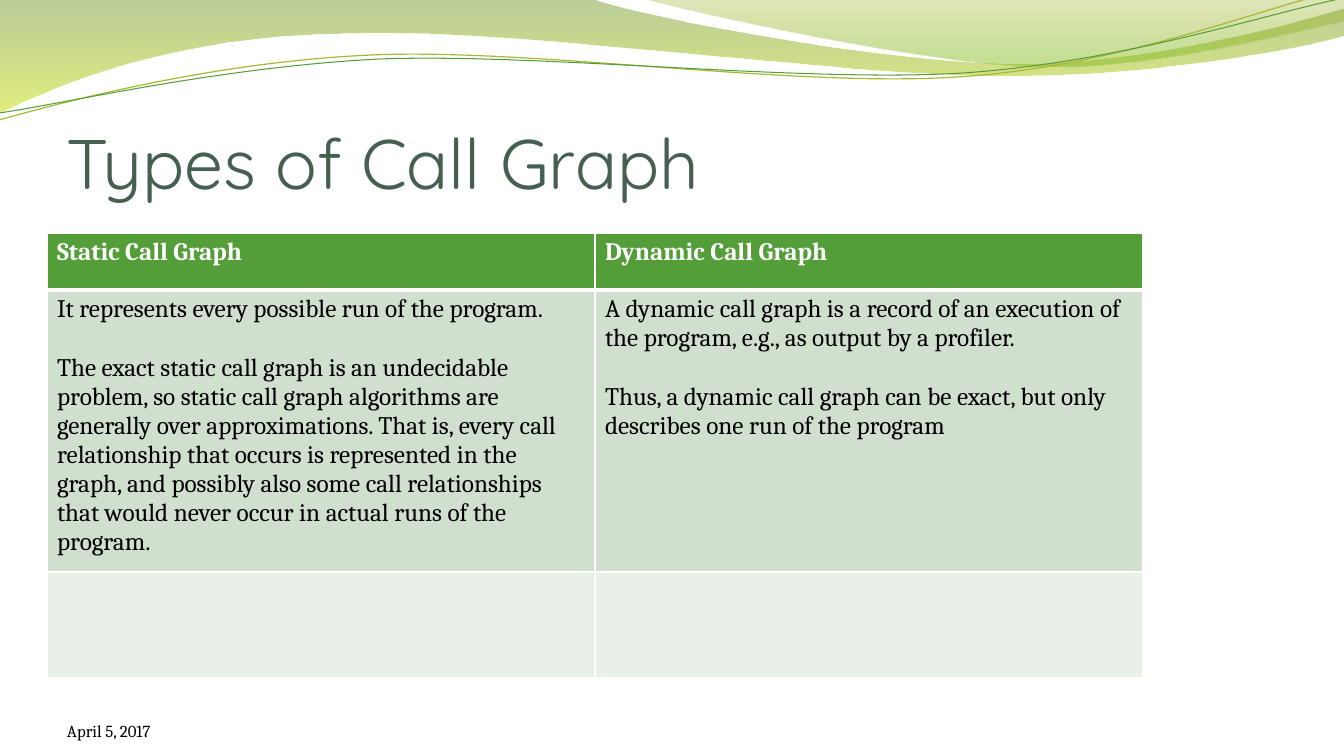
from lxml import etree
from pptx import Presentation
from pptx.dml.color import RGBColor
from pptx.enum.text import MSO_ANCHOR, MSO_AUTO_SIZE, PP_ALIGN
from pptx.oxml.ns import qn
from pptx.util import Pt

LEFT = PP_ALIGN.LEFT
BOTTOM = MSO_ANCHOR.BOTTOM
NO_FIT = MSO_AUTO_SIZE.NONE
EMU_PER_PX = 914400 / 100.8
PAGE_SIZE = (1344, 756)

TITLE = "Types of Call Graph"
TITLE_BOX = (67, 78, 1210, 126)
DATE = "April 5, 2017"
DATE_BOX = (67, 701, 313, 40)
BODY_FONT, TITLE_FONT = "Cambria", "Quicksand"

# Each segment is a line (x, y) or a curve (two control points, then its end).
FILLED_WAVES = [
    {"start": (0, 0),
     "segments": [(592, -1), (639, 17, 891, 64, 1019, 64),
                  (1146, 64, 1287, 26, 1344, 9), (1345, 36),
                  (1322, 44, 1168, 77, 1002, 76), (836, 76, 513, 28, 346, 34),
                  (173, 36, 61, 84, -2, 114)],
     "stops": [(0, "69921C", 45), (100, "CCE10F", 55)]},
    {"start": (643, -1),
     "segments": [(684, 11, 916, 62, 1033, 66), (1148, 70, 1292, 32, 1344, 21),
                  (1344, 0)],
     "stops": [(0, "9BAA1A", 30), (80, "81BA16", 45)]},
]
LINE_WAVES = [
    {"start": (-1, 120),
     "segments": [(64, 102, 212, 62, 372, 55), (531, 48, 795, 88, 957, 77),
                  (1119, 67, 1261, 8, 1341, -10)],
     "color": "A9B733", "width": 0.85},
    {"start": (-1, 113),
     "segments": [(63, 104, 220, 67, 380, 59), (541, 53, 802, 83, 963, 73),
                  (1124, 62, 1265, 14, 1344, -2)],
     "color": "549E39", "width": 0.75},
]

TABLE_ORIGIN = (47, 233)
COLUMN_WIDTH = 548
ROWS = [
    {"height": 57, "fill": "549E39", "color": "FFFFFF", "bold": True,
     "cells": [["Static Call Graph"], ["Dynamic Call Graph"]]},
    {"height": 282, "fill": "D1DFCE", "color": "000000", "bold": False,
     "cells": [
         ["It represents every possible run of the program.",
          "The exact static call graph is an undecidable problem, so static "
          "call graph algorithms are generally over approximations. That is, "
          "every call relationship that occurs is represented in the graph, "
          "and possibly also some call relationships that would never occur "
          "in actual runs of the program."],
         ["A dynamic call graph is a record of an execution of the program, "
          "e.g., as output by a profiler.",
          "Thus, a dynamic call graph can be exact, but only describes one "
          "run of the program"]]},
    {"height": 106, "fill": "E9F0E8", "color": "000000", "bold": False,
     "cells": [[], []]},
]
PARAGRAPH_GAP = 21


def px(length):
    return round(length * EMU_PER_PX)


def rgb(color):
    return RGBColor.from_string(color)


def set_font(para, name, size, color, bold=False):
    font = para.font
    font.name, font.size, font.bold = name, Pt(size), bold
    font.color.rgb = rgb(color)


def place(shape, box):
    shape.left, shape.top, shape.width, shape.height = map(px, box)


def fill_frame(shape, text, top_margin, font, size, color):
    frame = shape.text_frame
    frame.word_wrap = True
    frame.auto_size = NO_FIT
    frame.vertical_anchor = BOTTOM
    frame.margin_left = frame.margin_right = frame.margin_bottom = 0
    frame.margin_top = px(top_margin)
    frame.text = text
    para = frame.paragraphs[0]
    para.alignment = LEFT
    set_font(para, font, size, color)


def add_wave(page, start, segments, closed):
    """Draw the outline, joining the points of each curve into a Bézier."""
    points = [pair for segment in segments
              for pair in zip(segment[::2], segment[1::2])]
    builder = page.shapes.build_freeform(*start, scale=EMU_PER_PX)
    builder.add_line_segments(points, close=closed)
    shape = builder.convert_to_shape()
    shape.shadow.inherit = False
    lines = iter(list(shape._element.iter(qn("a:lnTo"))))
    for segment in segments:
        steps = [next(lines) for _ in segment[::2]]
        if len(steps) == 3:
            curve = etree.Element(qn("a:cubicBezTo"))
            steps[0].addprevious(curve)
            for step in steps:
                curve.append(step[0])
                step.getparent().remove(step)
    return shape


def add_filled_wave(page, start, segments, stops):
    shape = add_wave(page, start, segments, True)
    shape.line.fill.background()
    shape.fill.gradient()
    shape.fill.gradient_angle = 270
    for stop, (position, color, opacity) in zip(shape.fill.gradient_stops, stops):
        stop.position = position / 100
        stop.color.rgb = rgb(color)
    for tag, (_, _, opacity) in zip(shape._element.spPr.iter(qn("a:srgbClr")), stops):
        etree.SubElement(tag, qn("a:alpha"), val=str(opacity * 1000))


def add_line_wave(page, start, segments, color, width):
    shape = add_wave(page, start, segments, False)
    shape.fill.background()
    shape.line.color.rgb = rgb(color)
    shape.line.width = Pt(width)


def set_borders(cell, widths):
    """Give the cell white borders; widths maps each side to points."""
    properties = cell._tc.get_or_add_tcPr()
    for index, (side, width) in enumerate(widths.items()):
        border = etree.Element(qn("a:ln" + side), w=str(Pt(width)))
        solid = etree.SubElement(border, qn("a:solidFill"))
        etree.SubElement(solid, qn("a:srgbClr"), val="FFFFFF")
        properties.insert(index, border)


def add_comparison(page):
    columns = len(ROWS[0]["cells"])
    size = (COLUMN_WIDTH * columns, sum(row["height"] for row in ROWS))
    table = page.shapes.add_table(
        len(ROWS), columns, *map(px, TABLE_ORIGIN + size)).table
    for column in table.columns:
        column.width = px(COLUMN_WIDTH)
    for r, row in enumerate(ROWS):
        table.rows[r].height = px(row["height"])
        widths = {"L": 1, "R": 1, "T": 3 if r == 1 else 1, "B": 3 if r == 0 else 1}
        for c, texts in enumerate(row["cells"]):
            cell = table.cell(r, c)
            cell.fill.solid()
            cell.fill.fore_color.rgb = rgb(row["fill"])
            set_borders(cell, widths)
            cell.text = "\n".join(texts)
            for para in cell.text_frame.paragraphs:
                set_font(para, BODY_FONT, 18, row["color"], row["bold"])
            for para in cell.text_frame.paragraphs[:-1]:
                para.space_after = Pt(PARAGRAPH_GAP)


def main():
    deck = Presentation()
    deck.slide_width, deck.slide_height = map(px, PAGE_SIZE)
    page = deck.slides.add_slide(deck.slide_layouts[5])
    for wave in FILLED_WAVES:
        add_filled_wave(page, **wave)
    for wave in LINE_WAVES:
        add_line_wave(page, **wave)
    date_box = page.shapes.add_textbox(*map(px, DATE_BOX))
    fill_frame(date_box, DATE, 0, BODY_FONT, 12, "000000")
    add_comparison(page)
    title = page.shapes.title
    place(title, TITLE_BOX)
    fill_frame(title, TITLE, 5, TITLE_FONT, 50, "455F51")
    deck.save("out.pptx")


if __name__ == "__main__":
    main()
